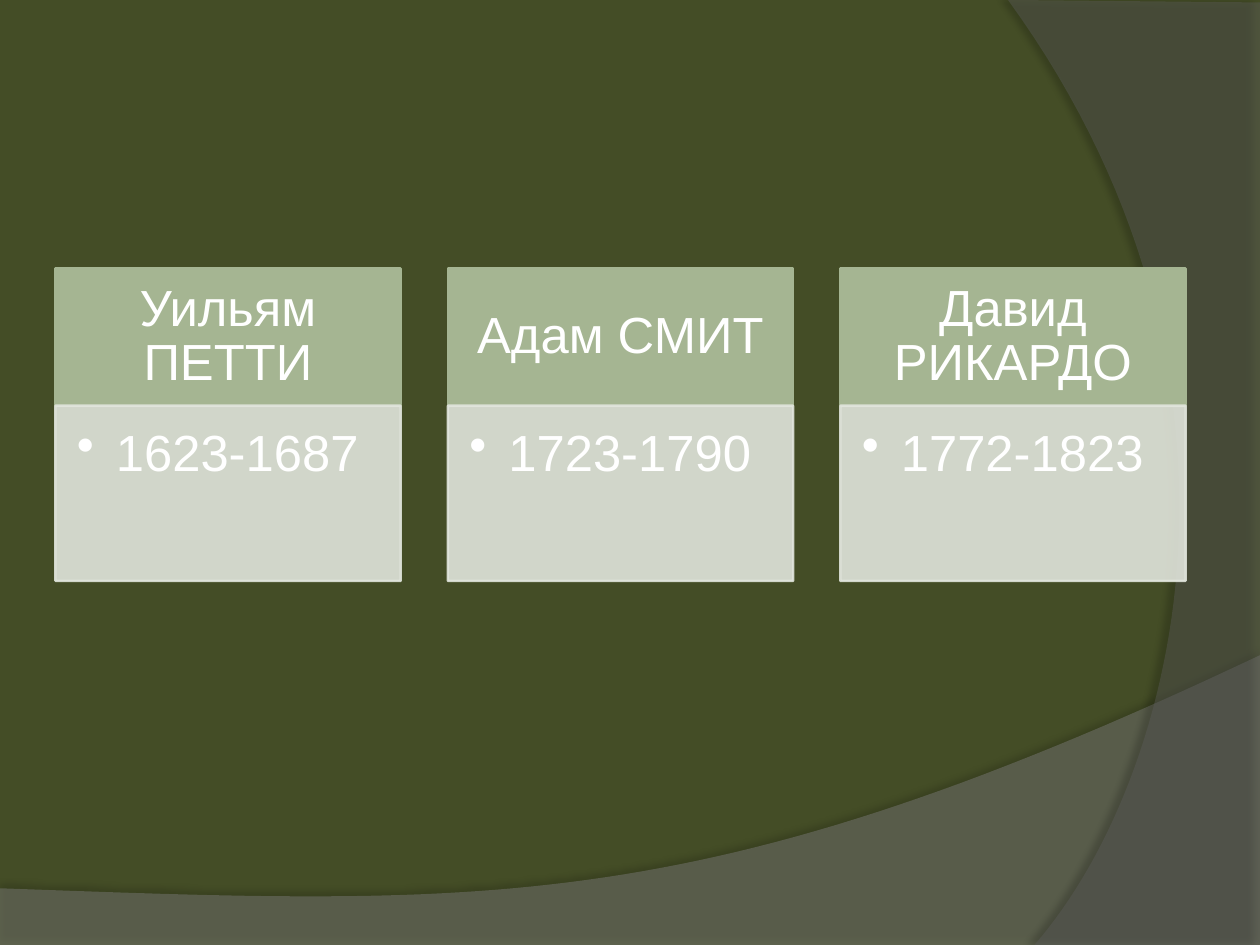
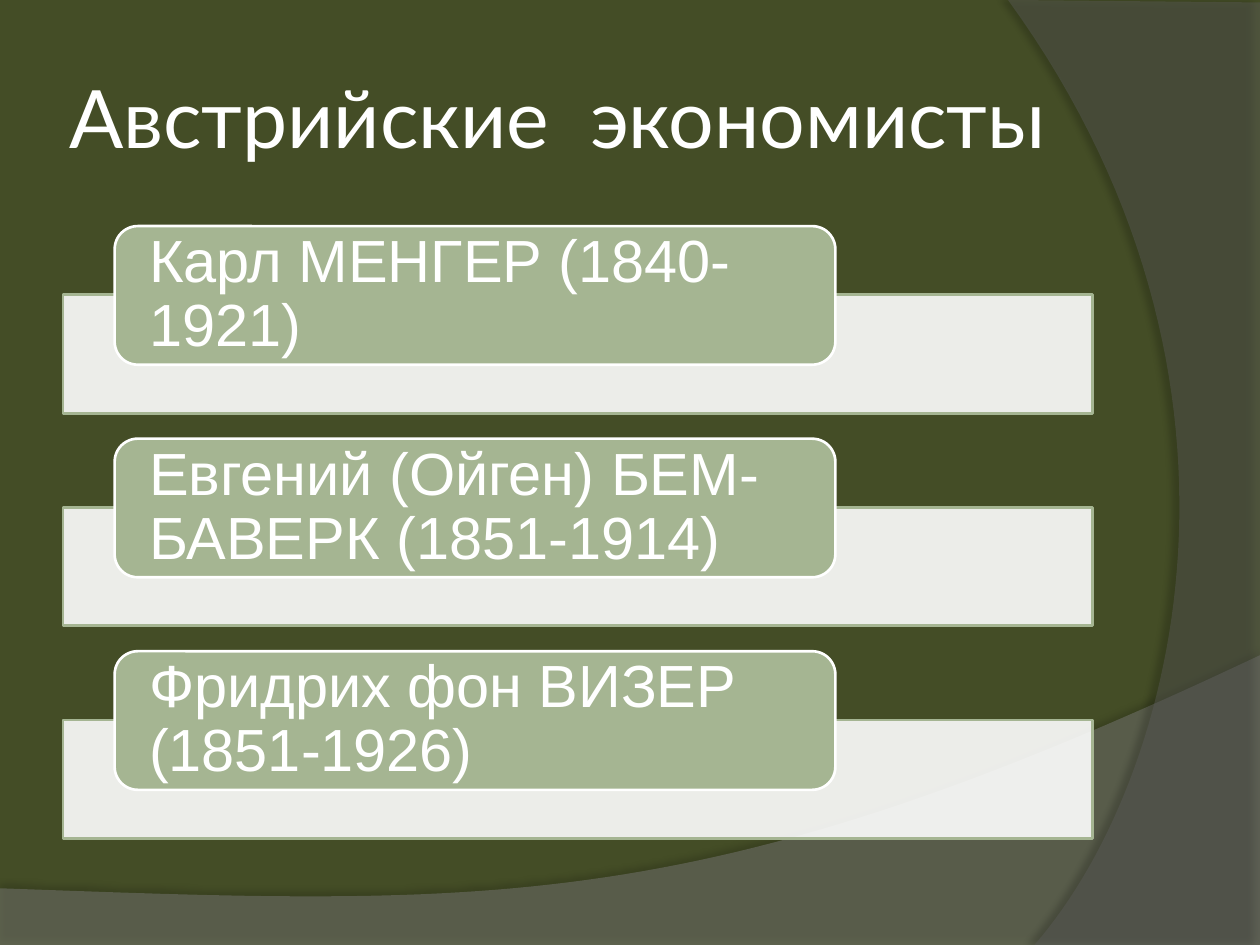
from lxml import etree
from pptx import Presentation
from pptx.dml.color import RGBColor
from pptx.enum.shapes import MSO_SHAPE
from pptx.enum.text import MSO_ANCHOR, MSO_AUTO_SIZE, PP_ALIGN
from pptx.oxml.ns import qn
from pptx.util import Inches, Pt

RECTANGLE = MSO_SHAPE.RECTANGLE
ROUNDED = MSO_SHAPE.ROUNDED_RECTANGLE
LEFT, CENTER = PP_ALIGN.LEFT, PP_ALIGN.CENTER
TOP, MIDDLE = MSO_ANCHOR.TOP, MSO_ANCHOR.MIDDLE
NO_AUTOFIT = MSO_AUTO_SIZE.NONE

OLIVE = RGBColor(0x44, 0x4D, 0x26)
SAGE = RGBColor(0xA5, 0xB5, 0x92)
PALE_SAGE = RGBColor(0xE1, 0xE5, 0xDC)
WHITE = RGBColor(0xFF, 0xFF, 0xFF)
GREY = RGBColor(0x7F, 0x7F, 0x7F)
DARK_GREY = RGBColor(0x5E, 0x5E, 0x5E)

TITLE_FONT, BODY_FONT = "Lato", "Arial"
COLUMNS, ROWS = 100, 75
TITLE_ONLY, BLANK = 5, 6
CURVE_STEPS = 60

BOTTOM_WAVE = [(100, 52), (55.9, 72.9), (39.1, 71.9), (0, 70.5)]
BOTTOM_CORNERS = [(0, 75.1), (100, 75.1)]
RIGHT_WAVE = [(82.1, 75), (93.5, 61.9), (101.8, 30), (80, 0)]
RIGHT_CORNERS = [(100, 0.2), (100, 75)]

CLASSICS = [
    ("Уильям ПЕТТИ", "1623-1687"),
    ("Адам СМИТ", "1723-1790"),
    ("Давид РИКАРДО", "1772-1823"),
]
AUSTRIANS = [
    "Карл МЕНГЕР (1840-1921)",
    "Евгений (Ойген) БЕМ-БАВЕРК (1851-1914)",
    "Фридрих фон ВИЗЕР (1851-1926)",
]


def curve_points(controls):
    """Return points along a cubic curve given by four control points."""
    points = []
    for step in range(CURVE_STEPS + 1):
        t = step / CURVE_STEPS
        weights = ((1 - t) ** 3, 3 * t * (1 - t) ** 2, 3 * t * t * (1 - t), t ** 3)
        points.append(tuple(sum(weight * control[axis]
                                for weight, control in zip(weights, controls))
                            for axis in (0, 1)))
    return points


def set_opacity(color_parent, percent):
    """Set the opacity of the colour held by a fill or shadow element."""
    etree.SubElement(color_parent[0], qn("a:alpha"), val=str(percent * 1000))


class Deck:
    """Holds the presentation style and the current slide."""

    def __init__(self):
        """Start a presentation with a four by three page."""
        self.presentation = Presentation()
        self.presentation.slide_width = Inches(10)
        self.presentation.slide_height = Inches(7.5)
        self.column = self.presentation.slide_width / COLUMNS
        self.row = self.presentation.slide_height / ROWS
        self.slide = None

    def add_slide(self, layout):
        """Add a slide with the shared background and waves."""
        self.slide = self.presentation.slides.add_slide(
            self.presentation.slide_layouts[layout])
        fill = self.slide.background.fill
        fill.solid()
        fill.fore_color.rgb = OLIVE
        waves = [
            self.wave(BOTTOM_WAVE, BOTTOM_CORNERS, GREY, 45, 35, 3.5, 270),
            self.wave(RIGHT_WAVE, RIGHT_CORNERS, DARK_GREY, 40, 45, 4, 180),
        ]
        for position, wave in enumerate(waves, start=2):
            self.slide.shapes.element.insert(position, wave.element)

    def place(self, left, top, width, height):
        """Convert a grid box to slide lengths."""
        return (round(left * self.column), round(top * self.row),
                round(width * self.column), round(height * self.row))

    def wave(self, controls, corners, color, opacity, shade, distance, direction):
        """Draw a translucent wave with a soft shadow."""
        points = [(round(x * self.column), round(y * self.row))
                  for x, y in curve_points(controls) + corners]
        builder = self.slide.shapes.build_freeform(*points[0], scale=1.0)
        builder.add_line_segments(points[1:], close=True)
        shape = builder.convert_to_shape()
        shape.line.fill.background()
        self.paint(shape, color, opacity)
        effects = shape.element.spPr.find(qn("a:effectLst"))
        shadow = etree.SubElement(
            effects, qn("a:outerShdw"), blurRad=str(Pt(4)), dist=str(Pt(distance)),
            dir=str(direction * 60000), algn="ctr", rotWithShape="0")
        etree.SubElement(shadow, qn("a:srgbClr"), val="000000")
        set_opacity(shadow, shade)
        return shape

    def paint(self, shape, color, opacity=100):
        """Fill a shape and remove its inherited shadow."""
        shape.shadow.inherit = False
        shape.fill.solid()
        shape.fill.fore_color.rgb = color
        if opacity < 100:
            set_opacity(shape.element.spPr.find(qn("a:solidFill")), opacity)

    def panel(self, kind, box, color, line, opacity=100, line_opacity=100):
        """Add an outlined preset shape."""
        shape = self.slide.shapes.add_shape(kind, *self.place(*box))
        self.paint(shape, color, opacity)
        shape.line.color.rgb = line
        shape.line.width = Pt(1.5)
        if line_opacity < 100:
            outline = shape.element.spPr.find(qn("a:ln"))
            set_opacity(outline.find(qn("a:solidFill")), line_opacity)
        return shape

    def add_text(self, shape, text, size, margins, font=BODY_FONT,
                 align=LEFT, anchor=MIDDLE, spacing=0.9):
        """Put one formatted paragraph into a shape and return it."""
        frame = shape.text_frame
        frame.word_wrap = True
        frame.auto_size = NO_AUTOFIT
        frame.vertical_anchor = anchor
        (frame.margin_left, frame.margin_top,
         frame.margin_right, frame.margin_bottom) = self.place(*margins)
        paragraph = frame.paragraphs[0]
        paragraph.alignment = align
        paragraph.line_spacing = spacing
        run = paragraph.add_run()
        run.text = text
        run.font.name = font
        run.font.size = Pt(size)
        run.font.color.rgb = WHITE
        return paragraph

    def title(self, text):
        """Move and fill the title placeholder."""
        shape = self.slide.shapes.title
        shape.left, shape.top, shape.width, shape.height = self.place(5, 3, 81.7, 12.5)
        self.add_text(shape, text, 46, (0.5,) * 4, font=TITLE_FONT, spacing=1.0)

    def card(self, left, name, years):
        """Add a name heading over a panel with bulleted years."""
        heading = self.panel(RECTANGLE, (left, 21.3, 27.4, 10.9), SAGE, SAGE)
        self.add_text(heading, name, 29, (2.3, 1.3, 2.3, 1.3), align=CENTER)
        body = self.panel(RECTANGLE, (left, 32.2, 27.4, 13.9),
                          PALE_SAGE, PALE_SAGE, 90, 90)
        paragraph = self.add_text(body, years, 29, (1.7, 1.7, 2.3, 2.5), anchor=TOP)
        properties = paragraph._p.get_or_add_pPr()
        indent = round(3.1 * self.column)
        properties.set("marL", str(indent))
        properties.set("indent", str(-indent))
        etree.SubElement(properties, qn("a:buChar"), char="•")

    def banner(self, top, text):
        """Add a wide strip with a rounded label on its upper edge."""
        self.panel(RECTANGLE, (5, top + 5.45, 81.7, 9.4), WHITE, SAGE, 90)
        label = self.panel(ROUNDED, (9.1, top, 57.2, 11), SAGE, WHITE)
        self.add_text(label, text, 34, (2.2, 0, 2.2, 0))


def main():
    """Build both slides and save the presentation."""
    deck = Deck()
    deck.add_slide(BLANK)
    for index, (name, years) in enumerate(CLASSICS):
        deck.card(4.4 + index * 31.15, name, years)

    deck.add_slide(TITLE_ONLY)
    deck.title("Австрийские  экономисты")
    for index, economist in enumerate(AUSTRIANS):
        deck.banner(17.95 + index * 16.87, economist)
    deck.presentation.save("out.pptx")


if __name__ == "__main__":
    main()
